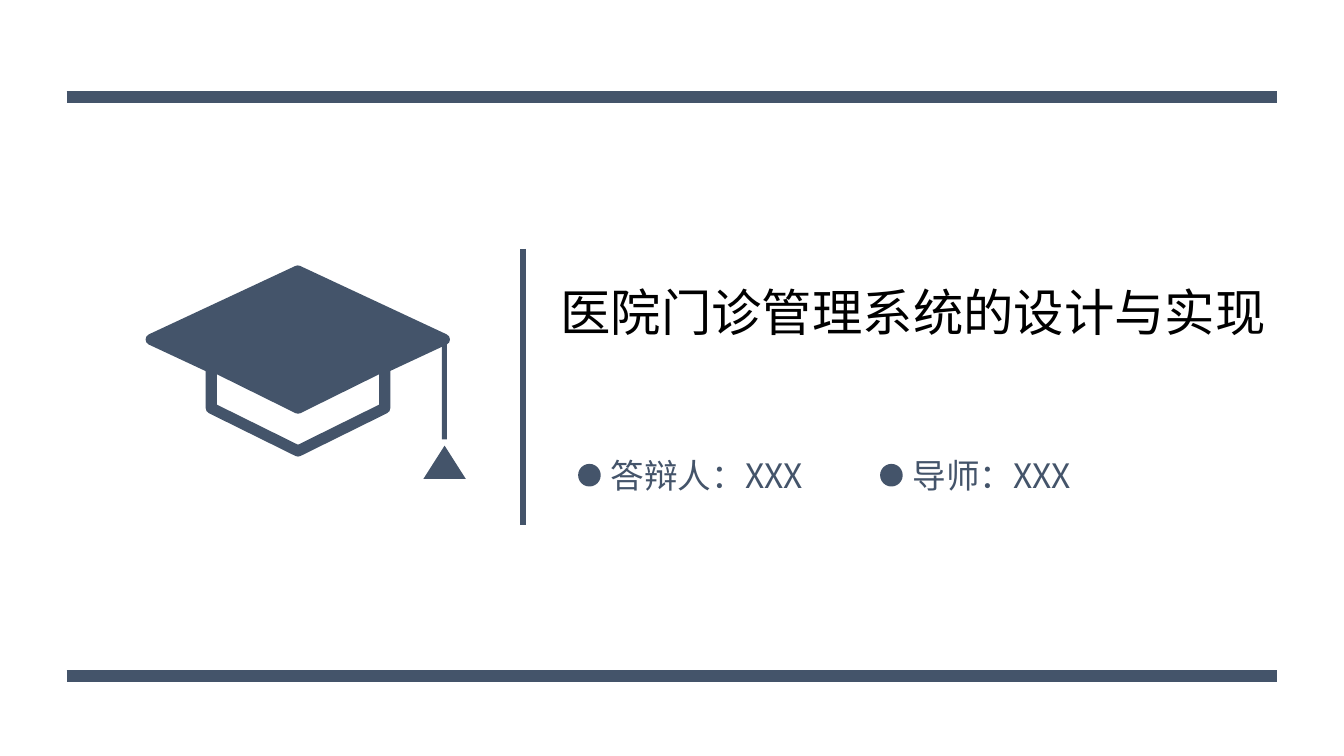
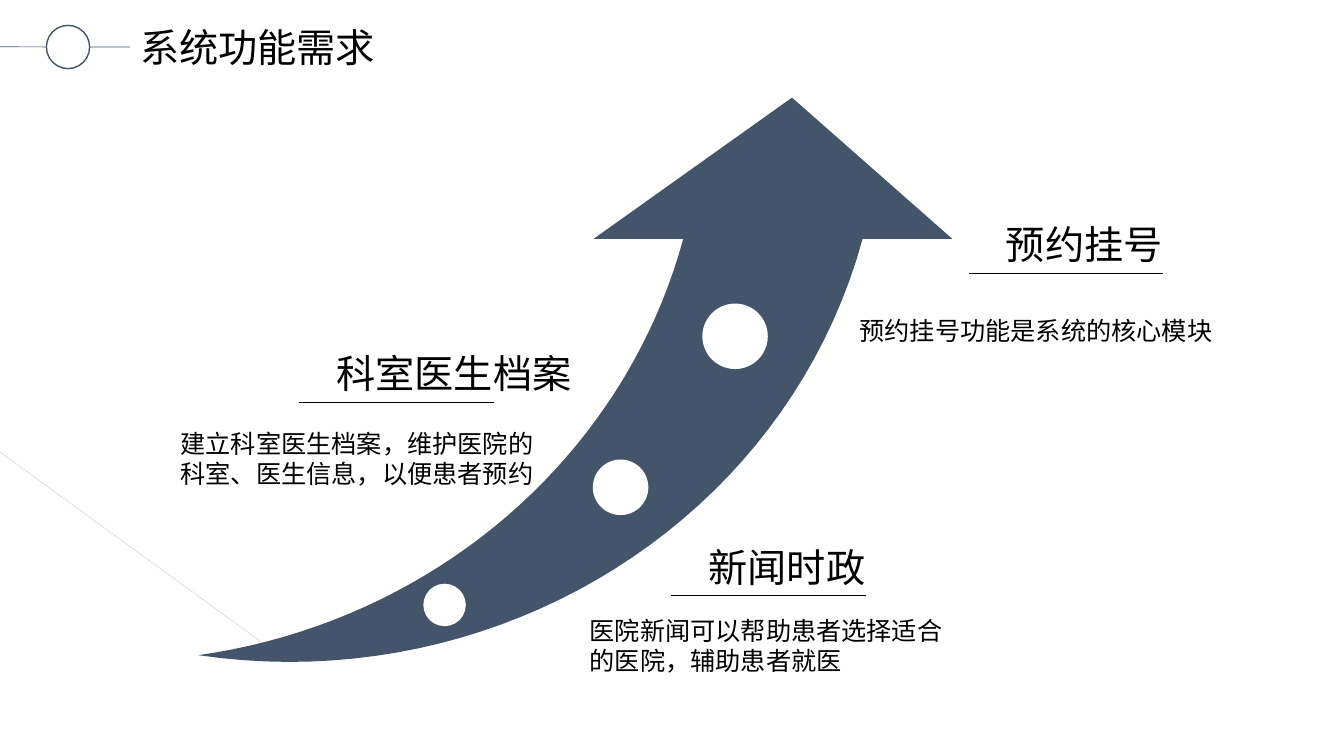
"""Build the cover and the function requirements slide of a thesis defence."""
from dataclasses import dataclass

import lxml.etree
import pptx
import pptx.dml.color
import pptx.enum.shapes
import pptx.enum.text
import pptx.oxml.ns
import pptx.shapes.autoshape
import pptx.shapes.base
import pptx.shapes.connector
import pptx.slide
import pptx.util

Cm = pptx.util.Cm
Pt = pptx.util.Pt
RGBColor = pptx.dml.color.RGBColor
MSO_SHAPE = pptx.enum.shapes.MSO_SHAPE
PP_ALIGN = pptx.enum.text.PP_ALIGN
MSO_AUTO_SIZE = pptx.enum.text.MSO_AUTO_SIZE
qn = pptx.oxml.ns.qn

Point = tuple[float, float]
Box = tuple[float, float, float, float]

SLATE = RGBColor(0x44, 0x54, 0x6A)
BLACK = RGBColor(0, 0, 0)
WHITE = RGBColor(0xFF, 0xFF, 0xFF)
PALE_GRAY = RGBColor(0xC8, 0xC8, 0xC8)
FONT = "Noto Sans CJK SC"
HEADING_SIZE = 28
HEADING_HEIGHT = 1.45
CURVE_STEPS = 40


@dataclass(frozen=True)
class Contact:
    text: str
    left: float
    width: float


@dataclass(frozen=True)
class Feature:
    heading: str
    rule_start: Point
    body: str
    body_box: Box
    align: PP_ALIGN = PP_ALIGN.LEFT


@dataclass(frozen=True)
class Hole:
    left: float
    top: float
    size: float


CONTACTS = (
    Contact("答辩人：XXX", 15.14, 5.59),
    Contact("导师：XXX", 22.75, 4.75),
)
FEATURES = (
    Feature("新闻时政", (16.92, 15.01),
            "医院新闻可以帮助患者选择适合的医院，辅助患者就医",
            (14.61, 15.37, 9.8, 1.8)),
    Feature("科室医生档案", (7.54, 10.13),
            "建立科室医生档案，维护医院的科室、医生信息，以便患者预约",
            (3.81, 10.67, 9.88, 1.8), PP_ALIGN.RIGHT),
    Feature("预约挂号", (24.41, 6.88),
            "预约挂号功能是系统的核心模块",
            (21.41, 7.82, 9.8, 1.02)),
)
HOLES = (
    Hole(10.67, 14.71, 1.07),
    Hole(14.94, 11.58, 1.4),
    Hole(17.7, 7.65, 1.65),
)


def add_line(s: pptx.slide.Slide, start: Point, end: Point, width: float,
             color: RGBColor = SLATE) -> pptx.shapes.connector.Connector:
    line = s.shapes.add_connector(
        pptx.enum.shapes.MSO_CONNECTOR.STRAIGHT,
        *(Cm(v) for v in (*start, *end)))
    line.line.color.rgb = color
    line.line.width = Pt(width)
    sp_pr = line._element.find(qn("p:spPr"))
    lxml.etree.SubElement(sp_pr, qn("a:effectLst"))
    return line


def style_shape(sp: pptx.shapes.autoshape.Shape, fill: RGBColor,
                line_width: float = 0) -> None:
    sp.shadow.inherit = False
    sp.fill.solid()
    sp.fill.fore_color.rgb = fill
    if line_width:
        sp.line.color.rgb = SLATE
        sp.line.width = Pt(line_width)
    else:
        sp.line.fill.background()


def add_shape(s: pptx.slide.Slide, kind: MSO_SHAPE, box: Box, fill: RGBColor = SLATE,
              line_width: float = 0) -> pptx.shapes.autoshape.Shape:
    sp = s.shapes.add_shape(kind, *(Cm(v) for v in box))
    style_shape(sp, fill, line_width)
    return sp


def add_text(s: pptx.slide.Slide, text: str, box: Box, size: int,
             color: RGBColor = BLACK, wrap: bool = True,
             align: PP_ALIGN = PP_ALIGN.LEFT) -> pptx.shapes.base.BaseShape:
    sp = s.shapes.add_textbox(*(Cm(v) for v in box))
    tf = sp.text_frame
    tf.word_wrap = wrap
    tf.auto_size = MSO_AUTO_SIZE.SHAPE_TO_FIT_TEXT
    p = tf.paragraphs[0]
    p.alignment = align
    r = p.add_run()
    r.text = text
    r.font.size = Pt(size)
    r.font.color.rgb = color
    r.font.name = FONT
    ea = lxml.etree.SubElement(r.font._element, qn("a:ea"))
    ea.set("typeface", FONT)
    return sp


def add_heading(s: pptx.slide.Slide, text: str, left: float,
                top: float) -> pptx.shapes.base.BaseShape:
    width = len(text) * Pt(HEADING_SIZE).cm + 0.51
    return add_text(s, text, (left, top, width, HEADING_HEIGHT), HEADING_SIZE, wrap=False)


def add_title(s: pptx.slide.Slide, text: str) -> None:
    line = add_line(s, (0, 1.18), (3.28, 1.18), 0.5)
    line.end_connect(add_heading(s, text, 3.28, 0.46), 1)
    add_shape(s, MSO_SHAPE.OVAL, (1.17, 0.64, 1.09, 1.09), WHITE, 1)


def curve(a: Point, b: Point, c: Point, d: Point) -> list[Point]:
    points = []
    for step in range(CURVE_STEPS + 1):
        t = step / CURVE_STEPS
        u = 1 - t
        weights = (u ** 3, 3 * u * u * t, 3 * u * t * t, t ** 3)
        x, y = (sum(w * q[axis] for w, q in zip(weights, (a, b, c, d)))
                for axis in (0, 1))
        points.append((x, y))
    return points


def add_growth_arrow(s: pptx.slide.Slide) -> None:
    tail = (5, 16.51)
    outline = [
        (19.96, 2.46), (24, 6.02),
        *curve((21.74, 6.02), (19.81, 13.08), (12.6, 17.63), tail),
        *curve(tail, (10.92, 15.67), (15.72, 11.53), (17.22, 6.02)),
        (14.96, 6.02),
    ]
    points = [(Cm(x), Cm(y)) for x, y in outline]
    builder = s.shapes.build_freeform(*points[0])
    builder.add_line_segments(points[1:], close=True)
    style_shape(builder.convert_to_shape(), SLATE)


def add_cap(s: pptx.slide.Slide) -> None:
    board = add_shape(s, MSO_SHAPE.DIAMOND, (3.81, 6.83, 7.39, 3.45), SLATE, 8)
    band = add_shape(s, MSO_SHAPE.CHEVRON, (6.43, 8.1, 2.16, 4.37), WHITE, 8)
    band.rotation = 90
    cord = add_line(s, (11.2, 8.56), (11.2, 11.07), 3.5)
    cord.begin_connect(board, 3)
    add_shape(s, MSO_SHAPE.ISOSCELES_TRIANGLE, (10.67, 11.23, 1.07, 0.84))


def build_cover(s: pptx.slide.Slide) -> None:
    for y in (2.44, 17.04):
        add_line(s, (1.68, y), (32.18, y), 8.5)
    add_line(s, (13.18, 6.27), (13.18, 13.23), 5)
    add_text(s, "医院门诊管理系统的设计与实现", (13.87, 6.96, 19.33, 1.8), 36)
    add_cap(s)
    for contact in CONTACTS:
        add_text(s, contact.text, (contact.left, 11.35, contact.width, 1.27), 24,
                 SLATE, wrap=False)
        add_shape(s, MSO_SHAPE.OVAL, (contact.left - 0.57, 11.69, 0.57, 0.57))


def build_requirements(s: pptx.slide.Slide) -> None:
    add_title(s, "系统功能需求")
    add_line(s, (0, 11.39), (6.7, 16.26), 0.25, PALE_GRAY)
    add_growth_arrow(s)
    for hole in HOLES:
        add_shape(s, MSO_SHAPE.OVAL, (hole.left, hole.top, hole.size, hole.size), WHITE)
    for feature in FEATURES:
        x, y = feature.rule_start
        add_text(s, feature.body, feature.body_box, 18, align=feature.align)
        add_line(s, (x, y), (x + 4.9, y), 0.5, BLACK)
        add_heading(s, feature.heading, x + 0.69, y - HEADING_HEIGHT)


def main() -> None:
    prs = pptx.Presentation()
    prs.slide_width = Cm(33.87)
    prs.slide_height = Cm(19.05)
    for build in (build_cover, build_requirements):
        build(prs.slides.add_slide(prs.slide_layouts[6]))
    prs.save("out.pptx")


if __name__ == "__main__":
    main()
